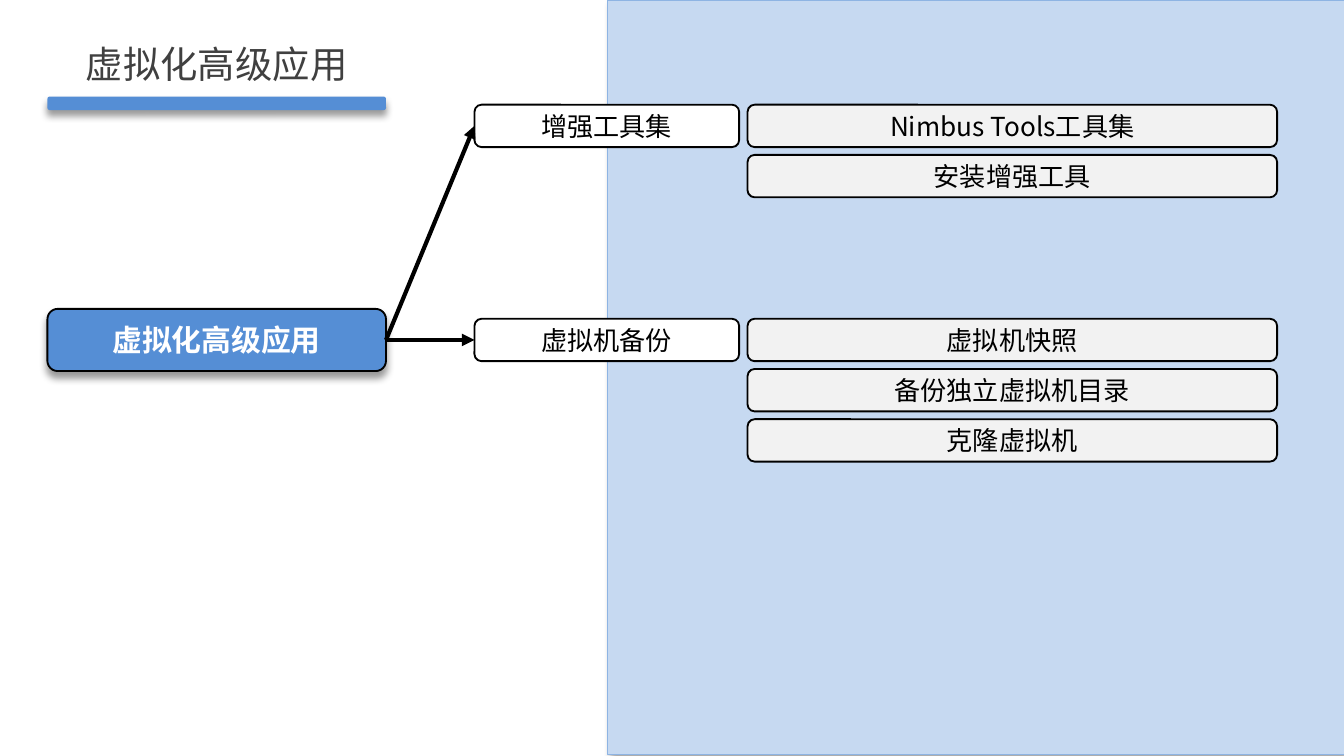
from dataclasses import dataclass

from lxml.etree import SubElement
from pptx import Presentation
from pptx.dml.color import RGBColor
from pptx.enum.shapes import MSO_CONNECTOR as Connector, MSO_SHAPE as Shape
from pptx.enum.text import MSO_ANCHOR as Anchor, PP_ALIGN as Align
from pptx.oxml.ns import qn
from pptx.util import Pt


@dataclass(frozen=True)
class Theme:
    """Colours, font and type sizes of the slide."""
    font: str = "Noto Sans CJK SC"
    black: str = "000000"
    white: str = "FFFFFF"
    heading: str = "404040"
    blue: str = "558ED5"
    panel: str = "C6D9F1"
    panel_line: str = "8EB4E3"
    detail: str = "F2F2F2"
    title_size: float = 20
    root_size: float = 16
    topic_size: float = 14


@dataclass(frozen=True)
class Box:
    """A rectangle measured in points."""
    left: float
    top: float
    width: float
    height: float

    def lengths(self):
        """Return the four lengths for python-pptx."""
        return [Pt(value) for value in (self.left, self.top, self.width, self.height)]


THEME = Theme()
TOPICS = [
    (56.1, "增强工具集", ["Nimbus Tools工具集", "安装增强工具"]),
    (170.8, "虚拟机备份", ["虚拟机快照", "备份独立虚拟机目录", "克隆虚拟机"]),
]


def color(code):
    """Turn a hex code into a colour."""
    return RGBColor.from_string(code)


def add_shadow(shape, degrees):
    """Give a shape a soft outer shadow falling in one direction."""
    effects = shape._element.spPr.find(qn("a:effectLst"))
    shadow = SubElement(effects, qn("a:outerShdw"), blurRad=str(Pt(4)), dist=str(Pt(3)),
                        dir=str(degrees * 60000), algn="t", rotWithShape="0")
    tint = SubElement(shadow, qn("a:srgbClr"), val=THEME.black)
    SubElement(tint, qn("a:alpha"), val="40000")


def add_block(slide, box, kind, fill, line=None, line_width=1.0):
    """Draw a filled shape, outlined when a line colour is given."""
    shape = slide.shapes.add_shape(kind, *box.lengths())
    shape.shadow.inherit = False
    shape.fill.solid()
    shape.fill.fore_color.rgb = color(fill)
    if line:
        shape.line.color.rgb = color(line)
        shape.line.width = Pt(line_width)
    else:
        shape.line.fill.background()
    return shape


def write(shape, text, size, text_color, bold=False, anchor=Anchor.MIDDLE):
    """Write one centred paragraph into a shape."""
    frame = shape.text_frame
    frame.word_wrap = True
    frame.vertical_anchor = anchor
    paragraph = frame.paragraphs[0]
    paragraph.alignment = Align.CENTER
    run = paragraph.add_run()
    run.text = text
    run.font.size = Pt(size)
    run.font.bold = bold
    run.font.color.rgb = color(text_color)
    run.font.name = THEME.font
    SubElement(run._r.rPr, qn("a:ea"), typeface=THEME.font)


def add_label(slide, box, text, fill, size=THEME.topic_size, text_color=THEME.black, bold=False):
    """Draw an outlined rounded box with its text."""
    shape = add_block(slide, box, Shape.ROUNDED_RECTANGLE, fill, THEME.black)
    write(shape, text, size, text_color, bold)
    return shape


def add_arrow(slide, start, end):
    """Join the right side of one box to the left side of another."""
    arrow = slide.shapes.add_connector(Connector.STRAIGHT, 0, 0, 0, 0)
    arrow.begin_connect(start, 3)
    arrow.end_connect(end, 1)
    arrow.line.color.rgb = color(THEME.black)
    arrow.line.width = Pt(2.25)
    SubElement(arrow.line._get_or_add_ln(), qn("a:tailEnd"), type="triangle")
    SubElement(arrow._element.spPr, qn("a:effectLst"))


def add_panel(slide, box):
    """Draw the pale panel behind the details."""
    panel = add_block(slide, box, Shape.RECTANGLE, THEME.panel, THEME.panel_line, 0.25)
    add_shadow(panel, 45)


def add_heading(slide, box, text):
    """Place the title with its bar along the bottom of the box."""
    bar_height = 7.2
    title = slide.shapes.add_textbox(*Box(box.left, box.top, box.width, 39.6).lengths())
    write(title, text, THEME.title_size, THEME.heading, anchor=Anchor.BOTTOM)
    title.text_frame.paragraphs[0].space_before = Pt(4)
    bar_top = box.top + box.height - bar_height
    bar = add_block(slide, Box(box.left, bar_top, box.width, bar_height),
                    Shape.ROUNDED_RECTANGLE, THEME.blue)
    add_shadow(bar, 90)


def add_root(slide, box, text):
    """Draw the starting box of the outline."""
    root = add_label(slide, box, text, THEME.blue, THEME.root_size, THEME.white, True)
    add_shadow(root, 90)
    return root


def add_topic(slide, box, root, topic, details):
    """Place a topic, its stacked details and the arrow from the root."""
    topic_width, gap, height, pitch = 141.8, 4.5, 22.7, 26.9
    target = add_label(slide, Box(box.left, box.top, topic_width, height), topic, THEME.white)
    left = box.left + topic_width + gap
    width = box.width - topic_width - gap
    for row, detail in enumerate(details):
        add_label(slide, Box(left, box.top + row * pitch, width, height), detail, THEME.detail)
    add_arrow(slide, root, target)


def main():
    """Build the outline slide and save it."""
    presentation = Presentation()
    presentation.slide_width, presentation.slide_height = Pt(720), Pt(405)
    slide = presentation.slides.add_slide(presentation.slide_layouts[6])
    add_panel(slide, Box(325.5, 0, 394.5, 404.2))
    add_heading(slide, Box(25.4, 10.1, 181.4, 48.9), "虚拟化高级应用")
    root = add_root(slide, Box(25.4, 165.5, 181.4, 33.3), "虚拟化高级应用")
    for top, topic, details in TOPICS:
        add_topic(slide, Box(254.2, top, 430, 80), root, topic, details)
    presentation.save("out.pptx")


if __name__ == "__main__":
    main()
